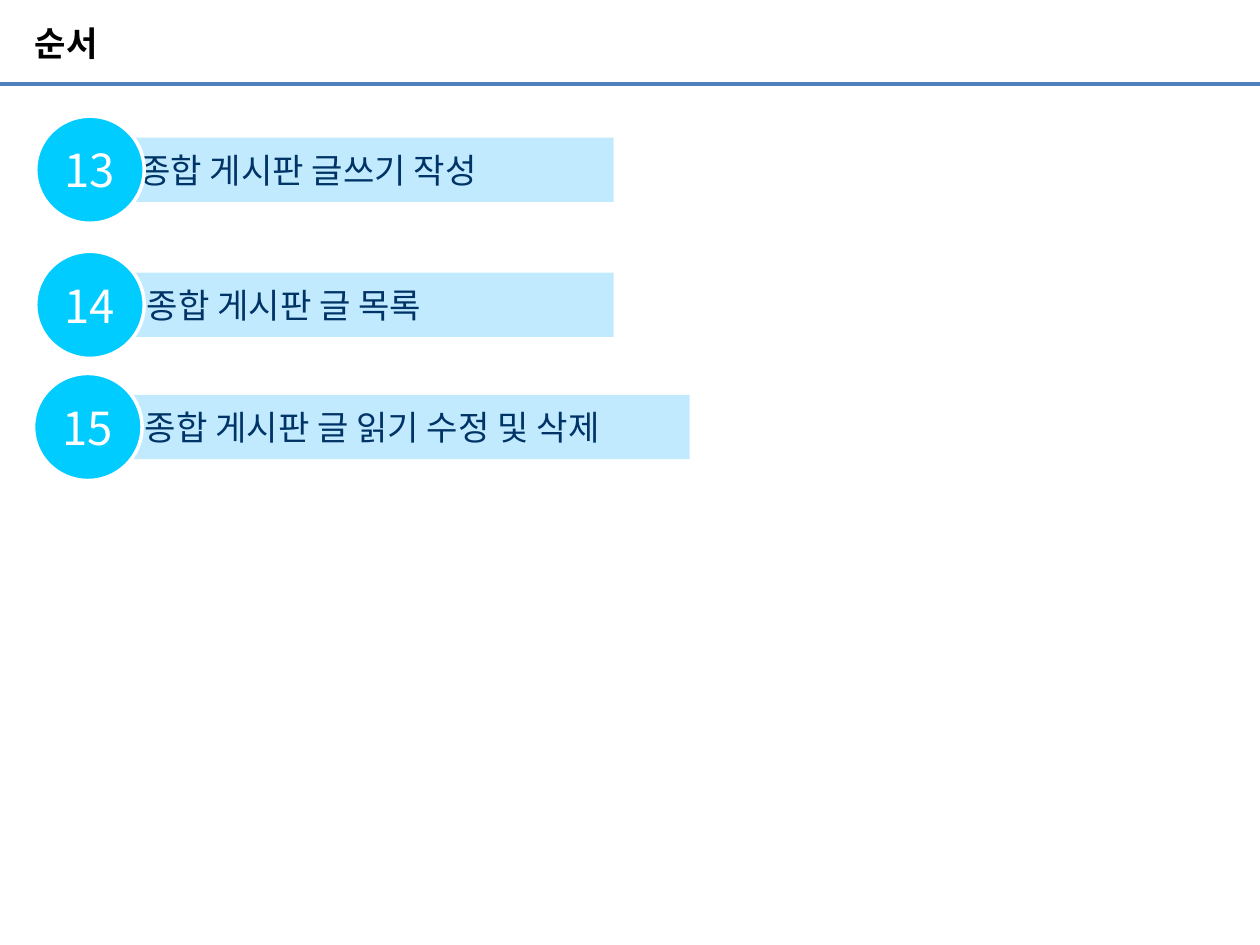
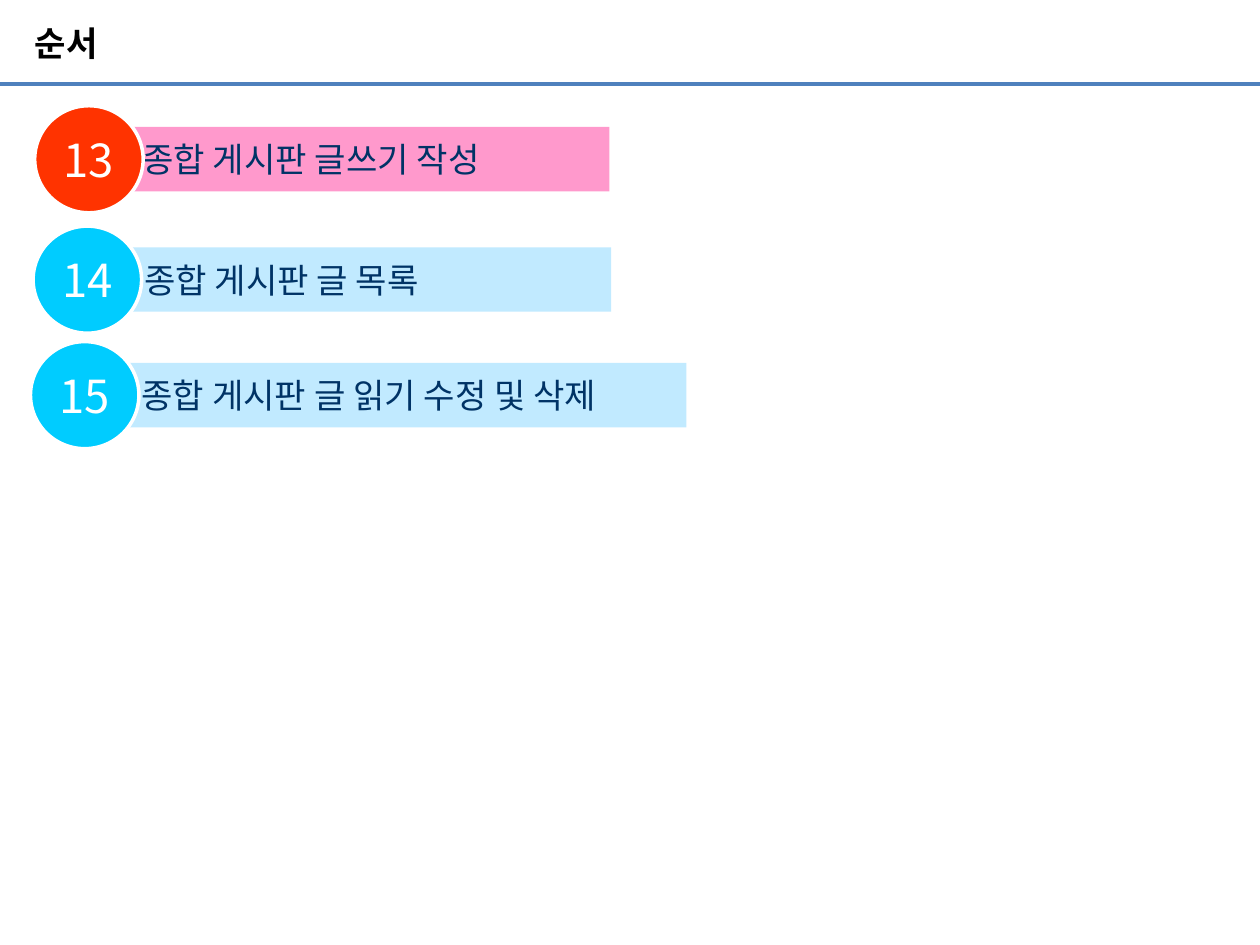
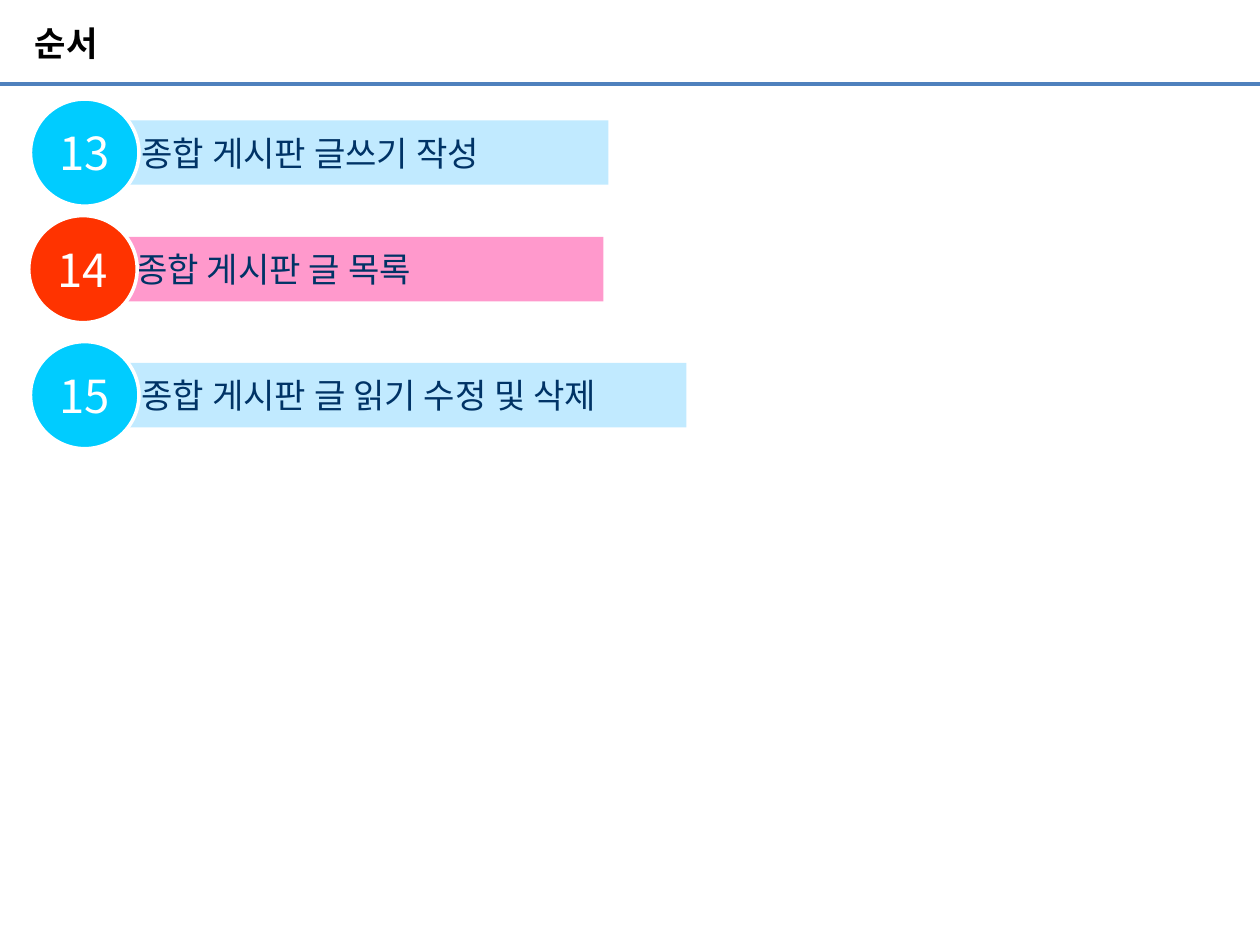
from lxml import etree
from pptx import Presentation
from pptx.dml.color import RGBColor
from pptx.enum.shapes import MSO_CONNECTOR, MSO_SHAPE
from pptx.enum.text import MSO_ANCHOR, PP_ALIGN
from pptx.oxml.ns import qn
from pptx.util import Pt

STRAIGHT = MSO_CONNECTOR.STRAIGHT
RECTANGLE, OVAL = MSO_SHAPE.RECTANGLE, MSO_SHAPE.OVAL
MIDDLE = MSO_ANCHOR.MIDDLE
LEFT, CENTER = PP_ALIGN.LEFT, PP_ALIGN.CENTER

COLORS = {
    "rule": "4F81BD",
    "title": "000000",
    "label": "003366",
    "white": "FFFFFF",
    "bar": "C1EAFF",
    "badge": "00CCFF",
    "current_bar": "FF99CC",
    "current_badge": "FF3300",
}
TITLE_FONT, BODY_FONT = "Arial", "Noto Sans CJK KR"
SLIDE_WIDTH, SLIDE_HEIGHT = 720, 540
BADGE_WIDTH, BADGE_HEIGHT = 62, 61.2
BAR_HEIGHT, BAR_DROP = 36.8, 12.2

# Chapter number: title and bar width
CHAPTERS = {
    13: ("종합 게시판 글쓰기 작성", 304.6),
    14: ("종합 게시판 글 목록", 304.6),
    15: ("종합 게시판 글 읽기 수정 및 삭제", 349.2),
}

# Per slide: current chapter, badge corners in chapter order, first label's indent
AGENDAS = [
    (None, [(20.4, 66.4), (20.4, 143.6), (19.2, 213.4)], 33.4),
    (13, [(19.8, 60.4), (18.9, 129.2), (17.4, 195.2)], 37.8),
    (14, [(17.4, 56.6), (16.4, 123.2), (17.4, 195.2)], 37.8),
]


def rgb(key):
    return RGBColor.from_string(COLORS[key])


class AgendaDeck:
    def __init__(self):
        self.deck = Presentation()
        self.deck.slide_width = Pt(SLIDE_WIDTH)
        self.deck.slide_height = Pt(SLIDE_HEIGHT)
        self.slide = None

    def new_slide(self, title):
        self.slide = self.deck.slides.add_slide(self.deck.slide_layouts[6])
        self.rule(48.2)
        self.title(title)

    def rule(self, top):
        rule = self.slide.shapes.add_connector(
            STRAIGHT, 0, Pt(top), Pt(SLIDE_WIDTH), Pt(top))
        rule.line.color.rgb = rgb("rule")
        rule.line.width = Pt(2.25)
        etree.SubElement(rule._element.spPr, qn("a:effectLst"))

    def title(self, text):
        title = self.slide.shapes.add_textbox(Pt(20), 0, Pt(471), Pt(49))
        self.set_text(title, text, 19.5, "title", font=TITLE_FONT, bold=True, wrap=True)

    def set_text(self, shape, text, size, color, font=BODY_FONT, bold=False,
                 align=LEFT, indent=0, wrap=False):
        frame = shape.text_frame
        frame.text = text
        frame.word_wrap = wrap
        frame.vertical_anchor = MIDDLE
        frame.margin_left = Pt(indent)
        frame.margin_top = frame.margin_right = frame.margin_bottom = 0
        paragraph = frame.paragraphs[0]
        paragraph.alignment = align
        run = paragraph.runs[0]
        run.font.name = font
        run.font.size = Pt(size)
        run.font.bold = bold
        run.font.color.rgb = rgb(color)
        # Korean glyphs take the East Asian typeface
        etree.SubElement(run._r.get_or_add_rPr(), qn("a:ea"), typeface=BODY_FONT)

    def block(self, kind, left, top, width, height, fill):
        block = self.slide.shapes.add_shape(
            kind, Pt(left), Pt(top), Pt(width), Pt(height))
        block.shadow.inherit = False
        block.fill.solid()
        block.fill.fore_color.rgb = rgb(fill)
        block.line.fill.background()
        return block

    def chapter(self, number, left, top, indent, current):
        label, bar_width = CHAPTERS[number]
        prefix = "current_" if current else ""
        bar_left = left + (23.8 if current else 25.7)

        bar = self.block(RECTANGLE, bar_left, top + BAR_DROP,
                         bar_width, BAR_HEIGHT, prefix + "bar")
        self.set_text(bar, label, 19.5, "label", indent=indent)

        badge = self.block(OVAL, left, top, BADGE_WIDTH, BADGE_HEIGHT, prefix + "badge")
        badge.line.color.rgb = rgb("white")
        badge.line.width = Pt(2)
        self.set_text(badge, str(number), 26, "white", align=CENTER)


def main():
    agenda = AgendaDeck()
    for current, corners, first_indent in AGENDAS:
        agenda.new_slide("순서")
        for number, (left, top) in zip(CHAPTERS, corners):
            indent = first_indent if number == 13 else 37.8
            agenda.chapter(number, left, top, indent, number == current)
    agenda.deck.save("out.pptx")


if __name__ == "__main__":
    main()
